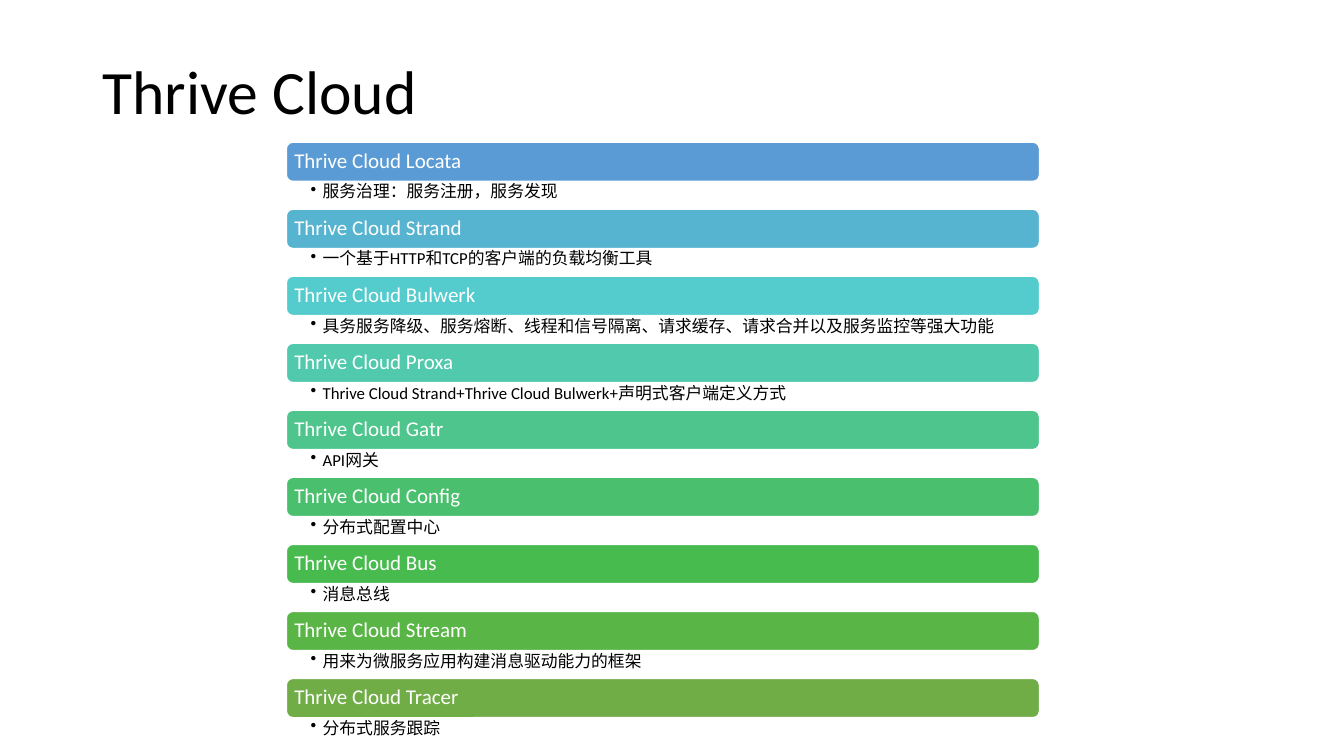
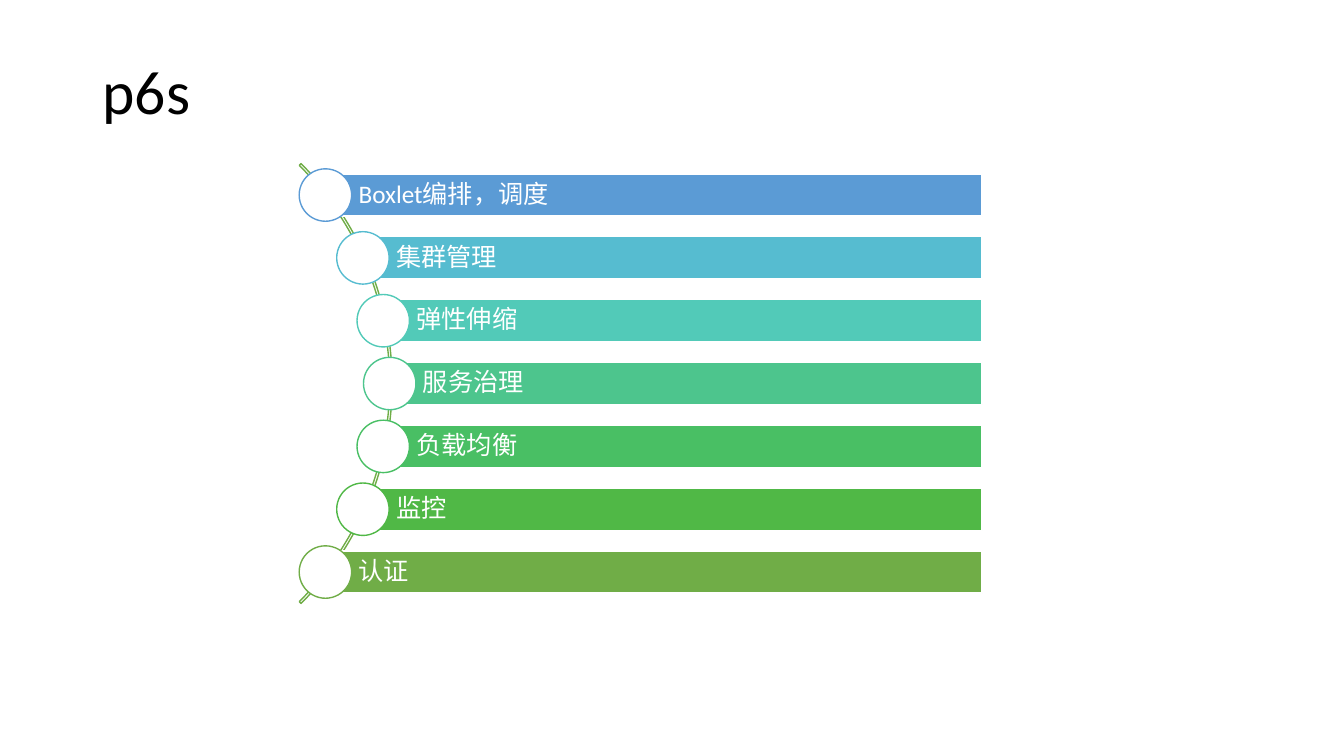
"""Build two slides: a list of microservice components and a curved list of cluster features."""
from dataclasses import dataclass
from math import sqrt

from lxml import etree
from pptx import Presentation
from pptx import util as u
from pptx.dml.color import RGBColor
from pptx.enum import shapes, text
from pptx.oxml import ns


@dataclass(frozen=True)
class Theme:
    font: str = "Calibri"
    ink: str = "000000"
    paper: str = "FFFFFF"
    arc: str = "70AD47"
    title_size: int = 44
    component_size: int = 15
    detail_size: int = 12
    feature_size: int = 18
    line_width: int = 1
    line_spacing: float = 0.9


@dataclass(frozen=True)
class Box:
    left: float
    top: float
    width: float
    height: float

    def lengths(self) -> tuple:
        return tuple(u.Inches(v) for v in (self.left, self.top, self.width, self.height))


@dataclass(frozen=True)
class Component:
    name: str
    detail: str
    color: str


@dataclass(frozen=True)
class Feature:
    name: str
    color: str


THEME = Theme()
TITLE = Box(0.92, 0.56, 11.5, 1.07)

FAMILY = "Thrive Cloud"
COMPONENTS = [
    Component("Locata", "服务治理：服务注册，服务发现", "5B9BD5"),
    Component("Strand", "一个基于HTTP和TCP的客户端的负载均衡工具", "57B4D1"),
    Component("Bulwerk", "具务服务降级、服务熔断、线程和信号隔离、请求缓存、请求合并以及服务监控等强大功能", "54CCCD"),
    Component("Proxa", f"{FAMILY} Strand+{FAMILY} Bulwerk+声明式客户端定义方式", "51C9AD"),
    Component("Gatr", "API网关", "4DC58D"),
    Component("Config", "分布式配置中心", "4AC06E"),
    Component("Bus", "消息总线", "48BB4F"),
    Component("Stream", "用来为微服务应用构建消息驱动能力的框架", "59B546"),
    Component("Tracer", "分布式服务跟踪", "70AD47"),
]
FEATURES = [
    Feature("Boxlet编排，调度", "5B9BD5"),
    Feature("集群管理", "56BCD0"),
    Feature("弹性伸缩", "52CAB8"),
    Feature("服务治理", "4DC58D"),
    Feature("负载均衡", "49BF64"),
    Feature("监控", "50B846"),
    Feature("认证", "70AD47"),
]


def write(shape, wording: str, size: int, color: str, insets: tuple,
          anchor=text.MSO_ANCHOR.MIDDLE, bullet_indent: float = 0) -> None:
    """Put one left-aligned paragraph into a shape, with a bullet if an indent is given."""
    frame = shape.text_frame
    frame.word_wrap = True
    frame.vertical_anchor = anchor
    (frame.margin_left, frame.margin_top,
     frame.margin_right, frame.margin_bottom) = (u.Inches(v) for v in insets)
    paragraph = frame.paragraphs[0]
    paragraph.text = wording
    paragraph.alignment = text.PP_ALIGN.LEFT
    paragraph.line_spacing = THEME.line_spacing
    if bullet_indent:
        properties = paragraph._p.get_or_add_pPr()
        properties.set("marL", str(u.Inches(bullet_indent)))
        properties.set("indent", str(-u.Inches(bullet_indent)))
        etree.SubElement(properties, ns.qn("a:buChar")).set("char", "•")
    paragraph.font.name = THEME.font
    paragraph.font.size = u.Pt(size)
    paragraph.font.color.rgb = RGBColor.from_string(color)


def add_outline(slide, preset, box: Box, line: str, fill: str | None = None):
    """Draw a preset shape with a thin line and an optional solid fill."""
    shape = slide.shapes.add_shape(preset, *box.lengths())
    shape.shadow.inherit = False
    if fill:
        shape.fill.solid()
        shape.fill.fore_color.rgb = RGBColor.from_string(fill)
    else:
        shape.fill.background()
    shape.line.color.rgb = RGBColor.from_string(line)
    shape.line.width = u.Pt(THEME.line_width)
    return shape


def add_titled_slide(deck, title: str):
    """Add a blank slide with the shared title."""
    slide = deck.slides.add_slide(deck.slide_layouts[6])
    heading = slide.shapes.add_textbox(*TITLE.lengths())
    write(heading, title, THEME.title_size, THEME.ink, (0.1, 0.05, 0.1, 0.05),
          text.MSO_ANCHOR.TOP)
    return slide


def build_components(deck) -> None:
    """Stack a coloured band and a bulleted detail for each component."""
    slide = add_titled_slide(deck, FAMILY)
    left, width, band_height, detail_height = 2.84, 7.47, 0.39, 0.27
    first_top, last_top = 1.41, 6.73
    pitch = (last_top - first_top) / (len(COMPONENTS) - 1)
    for index, component in enumerate(COMPONENTS):
        top = first_top + index * pitch
        band = add_outline(slide, shapes.MSO_SHAPE.ROUNDED_RECTANGLE,
                           Box(left, top, width, band_height), THEME.paper, component.color)
        write(band, f"{FAMILY} {component.name}", THEME.component_size, THEME.paper, (0.06,) * 4)
        detail = slide.shapes.add_textbox(
            *Box(left, top + band_height, width, detail_height).lengths())
        write(detail, component.detail, THEME.detail_size, THEME.ink, (0.24, 0.02, 0.12, 0.02),
              text.MSO_ANCHOR.TOP, bullet_indent=0.12)


def build_features(deck) -> None:
    """Set feature bars and their round markers along an arc."""
    slide = add_titled_slide(deck, "p6s")
    arc = Box(-2.28, 0.72, 6.17, 6.17)
    curve = add_outline(slide, shapes.MSO_SHAPE.BLOCK_ARC, arc, THEME.arc)
    for index, value in enumerate((189, 27, 0.004)):
        curve.adjustments[index] = value

    center_x, center_y = arc.left + arc.width / 2, arc.top + arc.height / 2
    radius, bar_right, bar_height, marker_size = 3.06, 9.74, 0.42, 0.52
    half_span = 1.87
    pitch = 2 * half_span / (len(FEATURES) - 1)
    for index, feature in enumerate(FEATURES):
        offset = index * pitch - half_span
        x, y = center_x + sqrt(radius ** 2 - offset ** 2), center_y + offset
        bar = add_outline(slide, shapes.MSO_SHAPE.RECTANGLE,
                          Box(x, y - bar_height / 2, bar_right - x, bar_height),
                          THEME.paper, feature.color)
        write(bar, feature.name, THEME.feature_size, THEME.paper, (0.33, 0.05, 0.05, 0.05))
        add_outline(slide, shapes.MSO_SHAPE.OVAL,
                    Box(x - marker_size / 2, y - marker_size / 2, marker_size, marker_size),
                    feature.color, THEME.paper)


def main() -> None:
    """Build and save the deck."""
    deck = Presentation()
    deck.slide_width, deck.slide_height = u.Inches(13.33), u.Inches(7.5)
    build_components(deck)
    build_features(deck)
    deck.save("out.pptx")


if __name__ == "__main__":
    main()
